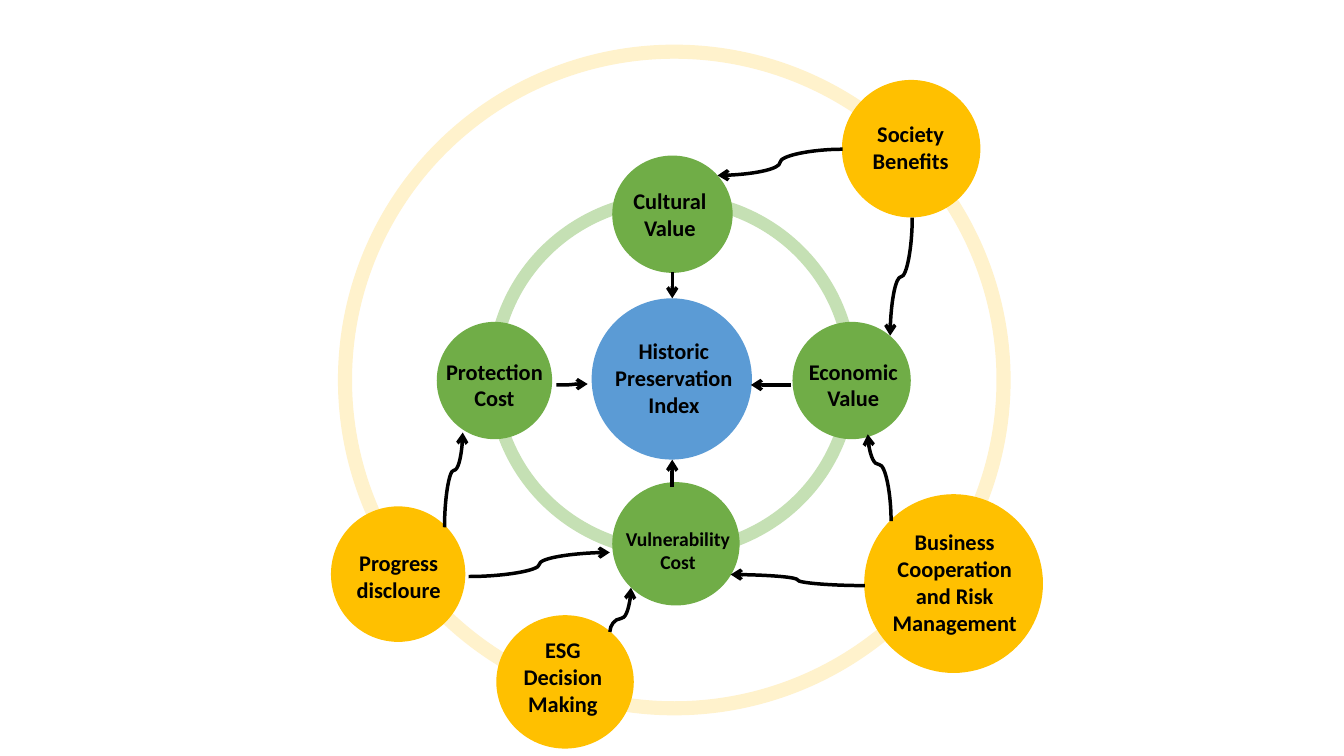
from lxml.etree import SubElement as Sub
from pptx import Presentation
from pptx.dml.color import RGBColor as Rgb
from pptx.enum.shapes import MSO_CONNECTOR as Link, MSO_SHAPE as Kind
from pptx.enum.text import MSO_ANCHOR as Anchor, PP_ALIGN as Align
from pptx.oxml.ns import qn
from pptx.util import Pt

HUE = {"black": "000000", "blue": "5B9BD5", "green": "70AD47", "gold": "FFC000",
       "mint": "C5E0B4", "cream": "FFF2CC"}

RINGS = [
    ("cream", (7.9, 0.4, 479.5, 478.1), 0.019),
    ("mint", (114.5, 106.2, 263.5, 259.9), 0.031),
]
NODES = [
    ("Historic Preservation Index", "blue", (188.6, 181.1, 114.5, 115.2), (193.7, 207, 107.3), 16),
    ("ESG Decision Making", "gold", (121, 407.9, 97.2, 94.3), (123.8, 420.9, 88.6), 16),
    ("Progress discloure", "gold", (2.9, 330.2, 95, 95.8), (0.7, 348.9, 100.1), 16),
    ("Business Cooperation and Risk Management", "gold", (383.8, 321.5, 126.7, 126.7),
     (394.6, 353.2, 106.6), 16),
    ("Society Benefits", "gold", (367.9, 25.6, 97.9, 97.2), (372.2, 42.2, 88.6), 16),
    ("Cultural Value", "green", (203.8, 79.6, 85, 82.8), (200.2, 90.4, 88.6), 16),
    ("Vulnerability Cost", "green", (203.8, 312.9, 90, 87.1), (200.2, 330.2, 100.1), 14),
    ("Protection Cost", "green", (78.5, 198.4, 81.4, 82.8), (74.9, 212.1, 88.6), 16),
    ("Economic Value", "green", (332.6, 198.4, 83.5, 82.8), (331.2, 212.1, 88.6), 16),
]
ARROWS = [
    ((367.9, 74.6), (278.6, 93.3), 0.5),
    ((417.6, 123.5), (401.8, 207.8), 0.5),
    ((402.5, 340.2), (385.9, 278.3), 0.65),
    ((383.8, 386.3), (288, 378.4), 0.5),
    ((201.6, 419.4), (216.7, 387.8), 0.3),
    ((83.5, 344.6), (96.5, 276.9), 0.6),
    ((100.8, 379.8), (201.6, 362.6), 0.5),
    ((246.2, 315.8), (246.2, 296.3), 0.5),
    ((163.4, 243), (185.8, 242.3), 0.5),
    ((331.2, 243), (302.4, 243), 0.5),
    ((246.2, 162.4), (246.2, 181.1), 0.5),
]
LABEL_H = 61.2


def paint(shape, hue):
    color = Rgb.from_string(HUE[hue])
    shape.shadow.inherit = False
    shape.fill.solid()
    shape.fill.fore_color.rgb = color
    shape.line.color.rgb = color
    shape.line.width = Pt(1)


def place(left, top, area):
    x, y, wide, high = area
    return Pt(left + x), Pt(top + y), Pt(wide), Pt(high)


def draw_rings(slide, left, top):
    for hue, area, band in RINGS:
        ring = slide.shapes.add_shape(Kind.DONUT, *place(left, top, area))
        ring.adjustments[0] = band
        paint(ring, hue)


def draw_nodes(slide, left, top):
    for text, hue, area, spot, size in NODES:
        disc = slide.shapes.add_shape(Kind.OVAL, *place(left, top, area))
        paint(disc, hue)
        if hue == "blue":
            disc.line.fill.background()
        label = slide.shapes.add_textbox(*place(left, top, (*spot, LABEL_H)))
        frame = label.text_frame
        frame.word_wrap = True
        frame.vertical_anchor = Anchor.MIDDLE
        frame.text = text
        para = frame.paragraphs[0]
        para.alignment = Align.CENTER
        font = para.runs[0].font
        font.name, font.size, font.bold = "Calibri", Pt(size), True
        font.color.rgb = Rgb.from_string(HUE["black"])


def draw_arrow(slide, start, end, bend):
    (x1, y1), (x2, y2) = start, end
    run, rise = x2 - x1, y2 - y1
    steep = abs(rise) > abs(run)
    if steep:
        mid_x, mid_y = (x1 + x2) / 2, (y1 + y2) / 2
        half = run / 2 if rise > 0 else -run / 2
        x1, x2 = mid_x - abs(rise) / 2, mid_x + abs(rise) / 2
        y1, y2 = mid_y + half, mid_y - half
    arrow = slide.shapes.add_connector(Link.CURVE, Pt(x1), Pt(y1), Pt(x2), Pt(y2))
    arrow.line.color.rgb = Rgb.from_string(HUE["black"])
    arrow.line.width = Pt(2.5)
    props = arrow.element.spPr
    if steep:
        props.find(qn("a:xfrm")).set("rot", "5400000" if rise > 0 else "16200000")
    guides = props.find(qn("a:prstGeom")).find(qn("a:avLst"))
    Sub(guides, qn("a:gd"), name="adj1", fmla=f"val {round(bend * 100000)}")
    Sub(props.find(qn("a:ln")), qn("a:tailEnd"), type="arrow")
    Sub(props, qn("a:effectLst"))


def draw_map(slide, left, top):
    draw_rings(slide, left, top)
    draw_nodes(slide, left, top)
    for (x1, y1), (x2, y2), bend in ARROWS:
        draw_arrow(slide, (left + x1, top + y1), (left + x2, top + y2), bend)


def main():
    deck = Presentation()
    deck.slide_width, deck.slide_height = Pt(960), Pt(540)
    slide = deck.slides.add_slide(deck.slide_layouts[6])
    draw_map(slide, 234, 32)
    deck.save("out.pptx")


if __name__ == "__main__":
    main()
